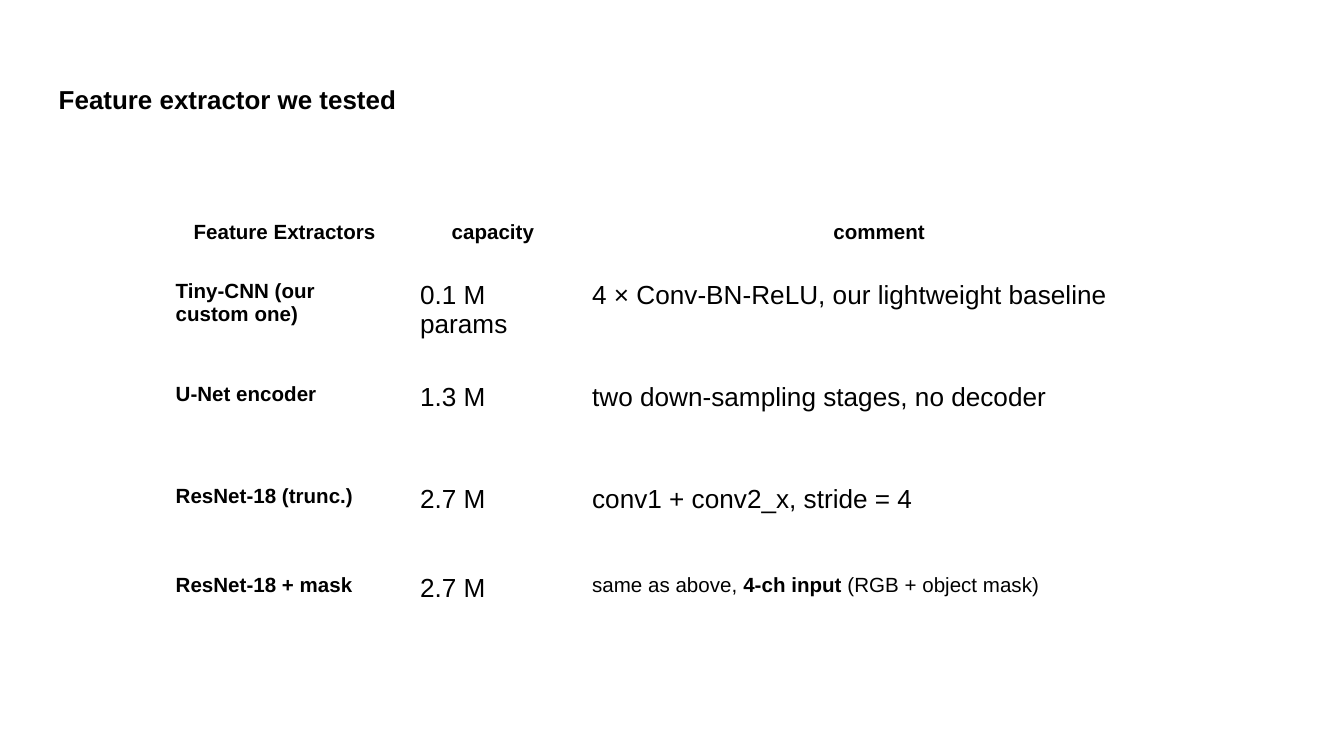
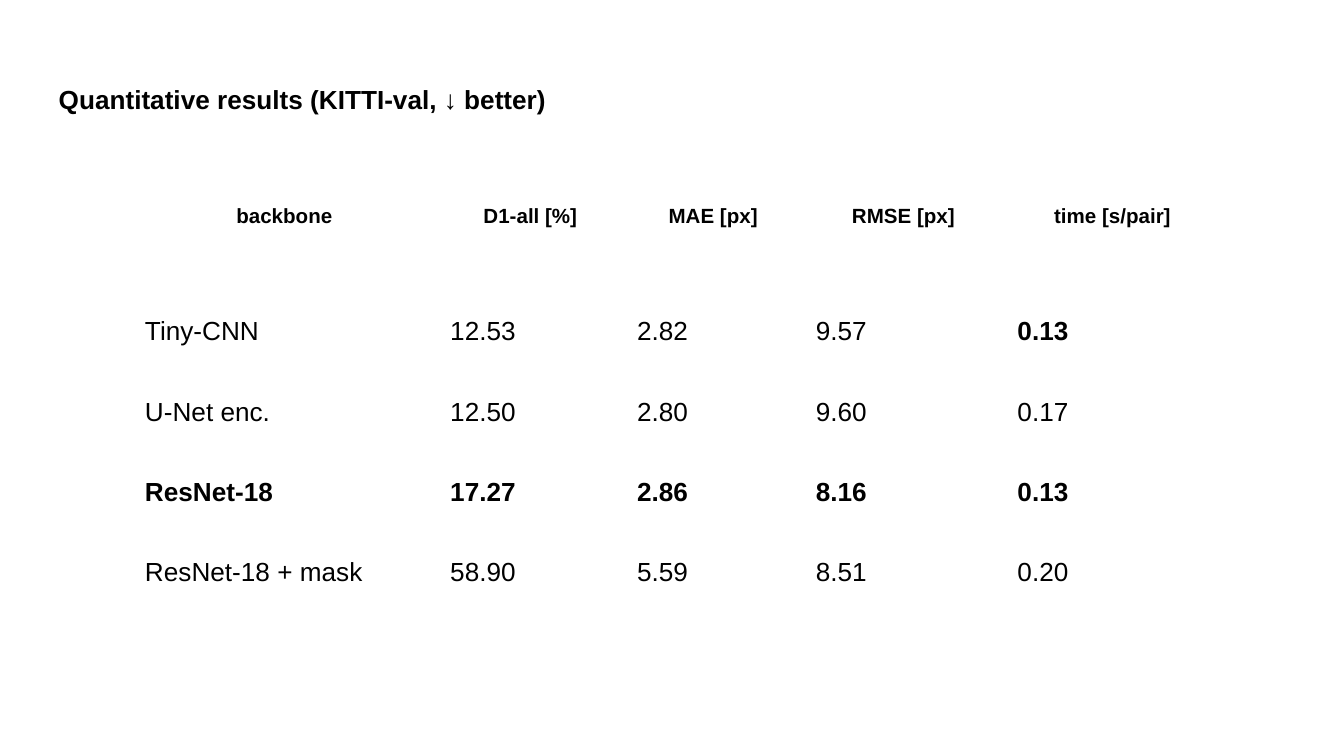
"""Build two slides with tables: the feature extractors tested and their results."""
from pptx import Presentation
from pptx.dml.color import RGBColor
from pptx.enum import text as txt
from pptx.util import Cm, Pt

COLOURS = {"text": "000000", "background": "FFFFFF"}
FONT = "Arial"
TITLE_BOX = (0.86, 1.24, 23.67, 1.6)
INSET = 0.25
LABEL = {"size": 11, "bold": True}
SMALL = {"size": 11}
BOLD = {"bold": True}

SLIDES = [
    {
        "title": "Feature extractor we tested",
        "title_size": 13.9,
        "corner": (3.07, 3.86),
        "columns": [4.62, 3.25, 11.35],
        "rows": [1.19, 1.93, 1.93, 1.68, 1.68],
        "header": ["Feature Extractors", "capacity", "comment"],
        "first_column": LABEL,
        "body": [
            ["Tiny-CNN (our custom one)", "0.1 M params",
             "4 × Conv-BN-ReLU, our lightweight baseline"],
            ["U-Net encoder", "1.3 M", "two down-sampling stages, no decoder"],
            ["ResNet-18 (trunc.)", "2.7 M", "conv1 + conv2_x, stride = 4"],
            ["ResNet-18 + mask", "2.7 M",
             [("same as above, ", SMALL), ("4-ch input", LABEL),
              (" (RGB + object mask)", SMALL)]],
        ],
        "bold_rows": [],
    },
    {
        "title": "Quantitative results (KITTI-val, ↓ better)",
        "title_size": 14,
        "corner": (2.49, 3.56),
        "columns": [5.77, 3.53, 3.38, 3.81, 4.09],
        "rows": [2.18, 1.52, 1.52, 1.52, 2.34],
        "header": ["backbone", "D1-all [%]", "MAE [px]", "RMSE [px]", "time [s/pair]"],
        "first_column": {},
        "body": [
            ["Tiny-CNN", "12.53", "2.82", "9.57", [("0.13", BOLD)]],
            ["U-Net enc.", "12.50", "2.80", "9.60", "0.17"],
            ["ResNet-18", "17.27", "2.86", "8.16", "0.13"],
            ["ResNet-18 + mask", "58.90", "5.59", "8.51", "0.20"],
        ],
        "bold_rows": ["ResNet-18"],
    },
]


def write(frame, content, size=14, bold=False, align=txt.PP_ALIGN.LEFT, spacing=1.0):
    """Fill a text frame with a string or a list of (text, format) runs."""
    paragraph = frame.paragraphs[0]
    paragraph.alignment = align
    paragraph.line_spacing = spacing
    paragraph.space_before = Pt(0)
    runs = [(content, {})] if isinstance(content, str) else content
    for words, changes in runs:
        run = paragraph.add_run()
        run.text = words
        run.font.name = FONT
        run.font.size = Pt(changes.get("size", size))
        run.font.bold = changes.get("bold", bold)
        run.font.color.rgb = RGBColor.from_string(COLOURS["text"])


def set_insets(target):
    """Give a cell or text frame the shared margins."""
    target.margin_left = target.margin_right = Cm(INSET)
    target.margin_top = target.margin_bottom = Cm(INSET)


def add_title(slide, title, size):
    """Move the title placeholder and fill it."""
    heading = slide.shapes.title
    heading.left, heading.top, heading.width, heading.height = map(Cm, TITLE_BOX)
    frame = heading.text_frame
    frame.word_wrap = True
    frame.auto_size = txt.MSO_AUTO_SIZE.NONE
    frame.vertical_anchor = txt.MSO_ANCHOR.TOP
    set_insets(frame)
    write(frame, title, size=size, bold=True, spacing=1.15)


def add_grid(slide, part):
    """Add the plain table with a centred header row."""
    columns, rows = part["columns"], part["rows"]
    grid = slide.shapes.add_table(
        len(rows), len(columns), *map(Cm, part["corner"]),
        Cm(sum(columns)), Cm(sum(rows))).table
    grid.first_row = grid.horz_banding = False
    for column, width in zip(grid.columns, columns):
        column.width = Cm(width)
    for row, height in zip(grid.rows, rows):
        row.height = Cm(height)
    for r, line in enumerate([part["header"]] + part["body"]):
        for c, content in enumerate(line):
            if r == 0:
                style = {**LABEL, "align": txt.PP_ALIGN.CENTER, "spacing": 1.15}
            elif c == 0 and part["first_column"]:
                style = part["first_column"]
            else:
                style = {"bold": line[0] in part["bold_rows"]}
            cell = grid.cell(r, c)
            cell.fill.background()
            cell.vertical_anchor = txt.MSO_ANCHOR.TOP
            set_insets(cell)
            write(cell.text_frame, content, **style)


def main():
    deck = Presentation()
    deck.slide_width, deck.slide_height = Cm(25.4), Cm(14.29)
    backdrop = deck.slide_master.background.fill
    backdrop.solid()
    backdrop.fore_color.rgb = RGBColor.from_string(COLOURS["background"])
    for part in SLIDES:
        slide = deck.slides.add_slide(deck.slide_layouts[5])
        add_title(slide, part["title"], part["title_size"])
        add_grid(slide, part)
    deck.save("out.pptx")


if __name__ == "__main__":
    main()
